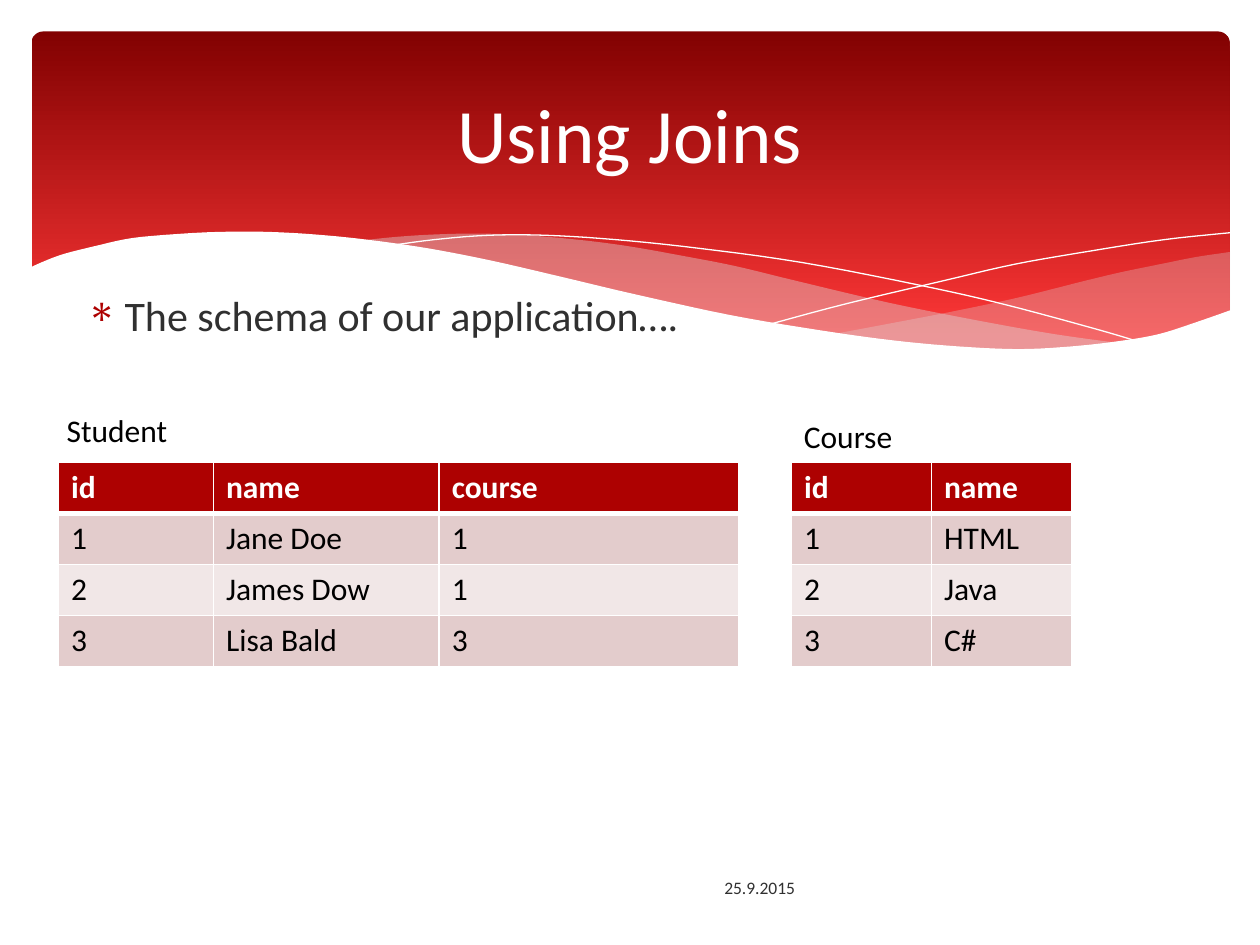
from lxml import etree
from pptx import Presentation
from pptx.dml.color import RGBColor
from pptx.enum import shapes, text
from pptx.oxml import ns
from pptx.util import Pt

HUES = {"dark": "820101", "bright": "FE3737", "veil": "DEDEE0", "white": "FFFFFF",
        "head": "AD0101", "odd": "E3CCCC", "even": "F1E7E7", "ink": "303030",
        "black": "000000"}

VEILS = [
    (29, [(685, 126), (665, 129), (645, 133), (623, 137.5), (602, 142.5), (562, 152.5),
          (524, 160.5), (490, 167), (458, 173)],
     [(458, 173), (480, 176), (509, 179), (536, 181.5), (560, 182), (583, 181.5),
      (610, 179), (634, 176), (655, 170.5), (675, 163.5), (685, 160)]),
    (40, [(625, 178.5), (585, 173), (540, 165), (490, 155), (435, 142), (402, 134),
          (371, 128), (343, 123), (317, 119.5), (284, 116.5), (256, 115.5),
          (230, 116), (207, 117.5), (188, 119.5)],
     [(188, 119.5), (215, 123), (243, 128), (273, 134), (305, 142), (364, 155),
      (415, 165.5), (450, 172), (482, 176.5), (512, 180), (539, 181.5),
      (563, 182), (593, 181.5), (625, 178.5)]),
]
THREADS = [
    [(204, 122.5), (230, 119), (261, 116.5), (294, 116.5), (334, 119), (382, 124),
     (440, 132), (505, 144.5), (554, 155.5), (608, 170), (635, 178)],
    [(423, 167), (466, 155.5), (521, 142.5), (562, 133), (605, 125.5), (647, 119),
     (685, 115)],
]
HILL = [(686, 159), (666, 166), (644, 173), (621, 177), (594, 180), (564, 181.5),
        (530, 180), (492, 176.5), (449, 170.5), (399, 162), (344, 150), (304, 140.5),
        (263, 131), (227, 124), (192, 119), (162, 116), (134, 114.5), (109, 114.5),
        (87, 115.5), (58, 118), (37, 122.5), (19, 127), (8, 131), (-1, 135)]


def paint(fill, hue):
    """Give a fill one solid colour."""
    fill.solid()
    fill.fore_color.rgb = RGBColor.from_string(HUES[hue])


def style(frame, size, hue, bold=False):
    """Format every run of a text frame."""
    for para in frame.paragraphs:
        for run in para.runs:
            font = run.font
            font.name, font.size, font.bold = "Calibri", Pt(size), bold
            font.color.rgb = RGBColor.from_string(HUES[hue])


def curve(knots, steps=5):
    """Return points of a smooth spline through the knots."""
    ends = [knots[0], *knots, knots[-1]]
    dots = [knots[0]]
    for a, b, c, d in zip(ends, ends[1:], ends[2:], ends[3:]):
        for step in range(1, steps + 1):
            t = step / steps
            dots.append(tuple(
                q + t * (r - p) / 2 + t * t * (p - 2.5 * q + 2 * r - s / 2)
                + t ** 3 * (3 * q - p - 3 * r + s) / 2
                for p, q, r, s in zip(a, b, c, d)))
    return dots


def outline(slide, box, dots, close=True):
    """Draw a freeform from dots relative to a box."""
    spots = [(Pt(box[0] + x), Pt(box[1] + y)) for x, y in dots]
    pen = slide.shapes.build_freeform(*spots[0])
    pen.add_line_segments(spots[1:], close=close)
    shape = pen.convert_to_shape()
    shape.shadow.inherit = False
    shape.line.fill.background()
    return shape


def banner(slide, box):
    """Draw the red gradient header with its waves."""
    panel = slide.shapes.add_shape(shapes.MSO_SHAPE.ROUNDED_RECTANGLE, *map(Pt, box))
    panel.shadow.inherit = False
    panel.adjustments[0] = 0.034
    panel.line.fill.background()
    panel.fill.gradient()
    panel.fill.gradient_angle = 270
    for stop, place, hue in zip(panel.fill.gradient_stops, (0, 0.9), ("dark", "bright")):
        stop.position = place
        stop.color.rgb = RGBColor.from_string(HUES[hue])
    for part, top, base in VEILS:
        veil = outline(slide, box, curve(top) + curve(base))
        paint(veil.fill, "veil")
        tint = veil.fill._xPr.find(".//" + ns.qn("a:srgbClr"))
        etree.SubElement(tint, ns.qn("a:alpha"), val=str(part * 1000))
    for knots in THREADS:
        thread = outline(slide, box, curve(knots), close=False)
        thread.fill.background()
        paint(thread.line.fill, "white")
        thread.line.width = Pt(0)
    hill = outline(slide, box, curve(HILL) + [(-1, 219), (686, 219)])
    paint(hill.fill, "white")


def label(slide, box, words, size, hue, wrap=True, middle=False):
    """Place a text box and return its frame."""
    frame = slide.shapes.add_textbox(*map(Pt, box)).text_frame
    frame.word_wrap = wrap
    if middle:
        frame.vertical_anchor = text.MSO_ANCHOR.MIDDLE
    frame.text = words
    style(frame, size, hue)
    return frame


def bullet(slide, box, words):
    """Place the body text with a starred bullet."""
    para = label(slide, box, words, 24, "ink").paragraphs[0]
    para.space_before = Pt(4.8)
    props = para._p.get_or_add_pPr()
    props.set("marL", str(Pt(21.6)))
    props.set("indent", str(Pt(-21.6)))
    tint = etree.SubElement(props, ns.qn("a:buClr"))
    etree.SubElement(tint, ns.qn("a:srgbClr"), val=HUES["head"])
    etree.SubElement(props, ns.qn("a:buChar"), char="∗")


def border(cell, widths):
    """Give a cell white borders of the widths for its sides."""
    props = cell._tc.get_or_add_tcPr()
    for spot, (side, width) in enumerate(zip("LRTB", widths)):
        line = etree.Element(ns.qn("a:ln" + side), w=str(Pt(width)))
        solid = etree.SubElement(line, ns.qn("a:solidFill"))
        etree.SubElement(solid, ns.qn("a:srgbClr"), val=HUES["white"])
        props.insert(spot, line)


def grid(slide, left, top, widths, rows):
    """Draw a banded table with a header row."""
    high = 29.2
    table = slide.shapes.add_table(len(rows), len(widths), Pt(left), Pt(top),
                                   Pt(sum(widths)), Pt(high * len(rows))).table
    for col, width in zip(table.columns, widths):
        col.width = Pt(width)
    for r, row in enumerate(rows):
        table.rows[r].height = Pt(high)
        band = "head" if r == 0 else "odd" if r % 2 else "even"
        for c, words in enumerate(row):
            cell = table.cell(r, c)
            cell.text = words
            style(cell.text_frame, 18, "black" if r else "white", r == 0)
            paint(cell.fill, band)
            border(cell, (1, 1, 3 if r == 1 else 1, 1 if r else 3))


def main():
    """Build the slide and save it."""
    deck = Presentation()
    deck.slide_width, deck.slide_height = Pt(720), Pt(540)
    slide = deck.slides.add_slide(deck.slide_layouts[6])
    banner(slide, (18, 18, 684.7, 194.4))
    bullet(slide, (42.5, 162, 640.8, 320.4), "The schema of our application….")
    label(slide, (406.8, 492.5, 298, 28.8), "25.9.2015", 10, "ink", middle=True)
    title = label(slide, (36, 26.6, 648, 98.6), "Using Joins", 44, "white", middle=True)
    title.paragraphs[0].alignment = text.PP_ALIGN.CENTER
    grid(slide, 33.5, 264.2, (88.5, 129, 171),
         [("id", "name", "course"), ("1", "Jane Doe", "1"),
          ("2", "James Dow", "1"), ("3", "Lisa Bald", "3")])
    grid(slide, 452.3, 264.2, (80, 80),
         [("id", "name"), ("1", "HTML"), ("2", "Java"), ("3", "C#")])
    label(slide, (31, 231.1, 75.6, 28.8), "Student", 18, "black", wrap=False)
    label(slide, (452.3, 234.8, 67.7, 28.8), "Course", 18, "black", wrap=False)
    deck.save("out.pptx")


if __name__ == "__main__":
    main()
